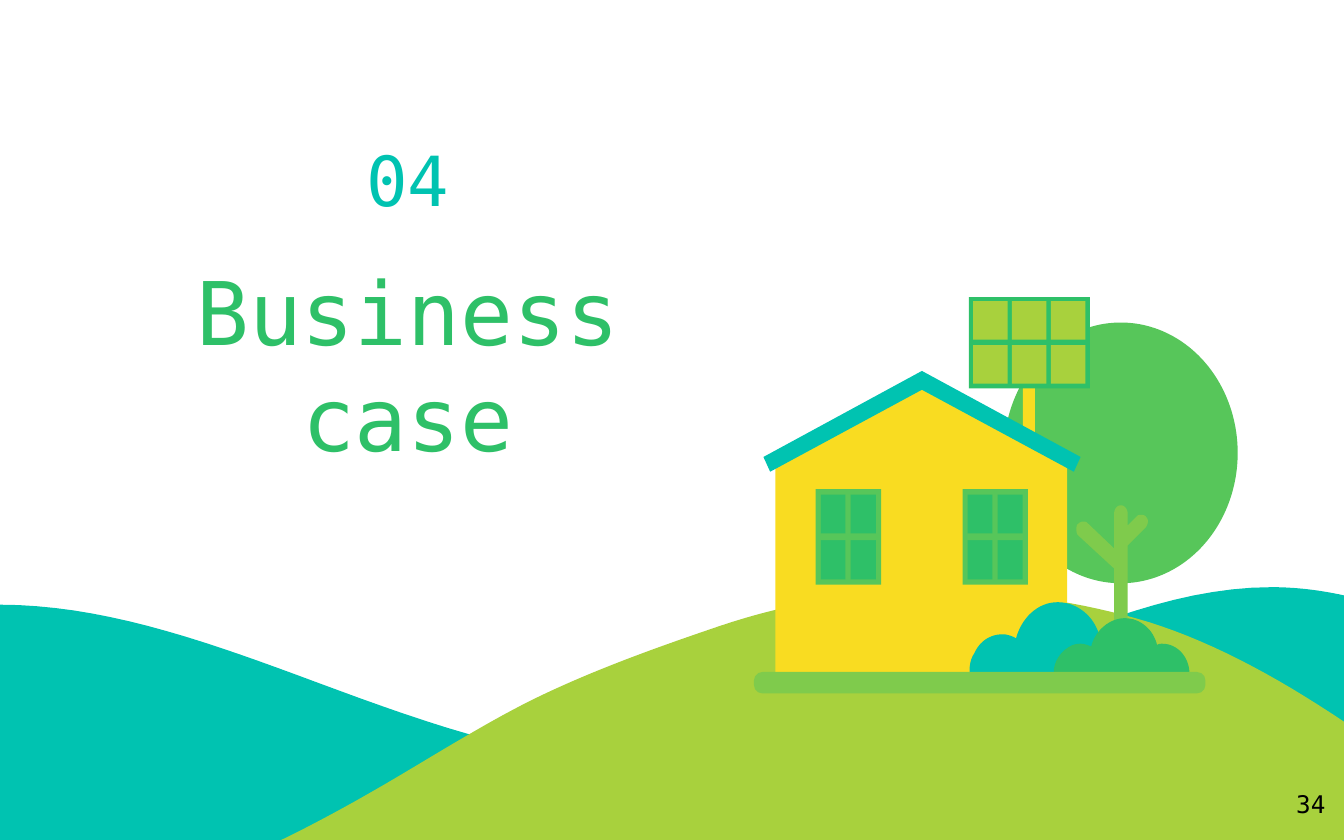
"""Build the "Business case" section slide with its house-on-a-hill scene."""
from dataclasses import dataclass
from itertools import product

from pptx import Presentation
from pptx.dml.color import RGBColor
from pptx.enum.shapes import MSO_SHAPE as Shape
from pptx.enum.text import MSO_ANCHOR as Anchor, PP_ALIGN as Align
from pptx.util import Pt

TEAL, LIME, YELLOW = "00C3B1", "A8D13D", "F9DC21"
GREEN, LEAF, GRASS = "2EC068", "57C65A", "7FCB4C"
FONT = "DejaVu Sans Mono"


@dataclass
class Box:
    x: float
    y: float
    w: float
    h: float
    color: str
    kind: Shape = Shape.RECTANGLE


@dataclass
class Outline:
    color: str
    start: tuple
    steps: list


@dataclass
class Hill:
    color: str
    bottom: float
    knots: list


@dataclass
class Label:
    x: float
    y: float
    w: float
    h: float
    lines: list
    size: float
    color: str
    align: Align = Align.CENTER
    anchor: Anchor = Anchor.TOP
    top: float = 7.2
    spacing: float = 1.0


HILLS = [
    Hill(TEAL, 495.4, [(0, 324, 0), (158.4, 361.4, .37), (344.2, 408.2, 0),
                       (514.1, 364.3, -.42), (681.1, 314.6, 0), (720, 319, .22)]),
    Hill(LIME, 497.5, [(0, 475.2, .25), (38.9, 481, 0), (123.8, 462.2, -.42),
                       (211.7, 416.9, -.59), (295.2, 370.1, -.46), (385.2, 335.5, -.34),
                       (500.4, 316.8, 0), (608.4, 331.2, .28), (720, 386.6, .67)]),
]
CROWN = Box(537.8, 172.8, 125.3, 139.7, LEAF, Shape.OVAL)
TRUNK = Outline(GRASS, (600.5, 270.7), [
    (598.3, 270.7, 596.9, 272.9, 596.9, 275), (596.9, 293.8), (582.5, 280.1),
    (581.8, 279.4, 581, 279.4, 580.3, 279.4), (578.9, 279.4, 578.2, 280.1, 577.4, 280.8),
    (576.7, 281.5, 576.7, 282.2, 576.7, 283.7), (576.7, 284.4, 576.7, 285.8, 577.4, 286.6),
    (596.9, 304.6), (596.9, 358.6), (604.1, 358.6), (604.1, 292.3), (613.4, 283),
    (614.9, 281.5, 615.6, 278.6, 614.2, 277.2), (613.4, 275.8, 612, 275.8, 611.3, 275.8),
    (610.6, 275.8, 609.8, 275.8, 609.1, 276.5), (604.1, 281.5), (604.1, 275),
    (604.1, 272.9, 602.6, 270.7, 600.5, 270.7)])
PANEL = [Box(547.9, 201.6, 6.5, 37.4, YELLOW), Box(519.1, 159.1, 64.8, 49, GREEN)] + [
    Box(521.3 + 20.8 * col, 161.3 + 23.6 * row, 18.5, 20.7, LIME)
    for row, col in product(range(2), range(3))]
WALL = Outline(YELLOW, (493.9, 203.8), [
    (415.4, 246.2), (415.4, 361.4), (571.7, 361.4), (571.7, 246.2)])
WINDOWS = [
    Box(x + dx, y, w, h, color)
    for x, (dx, y, w, h, color) in product((437, 515.7), [
        (0, 262.1, 35, 51.1, LEAF), (2.7, 265, 29.5, 45.4, GREEN),
        (0.8, 285.8, 33.1, 3.6, LEAF), (15.9, 264.2, 2.9, 47.5, LEAF)])]
BUSHES = [
    Outline(TEAL, (566.6, 322.6), [
        (555.8, 322.6, 547.2, 331.2, 544.3, 342), (542.2, 340.6, 539.3, 339.8, 537.1, 339.8),
        (530.6, 339.8, 524.9, 343.4, 522, 349.9), (519.1, 354.2, 519.1, 359.3, 519.8, 364.3),
        (609.8, 364.3), (609.8, 359.3), (609.8, 349.2, 602.6, 339.8, 592.6, 339.8),
        (591.1, 339.8, 590.4, 340.6, 589, 340.6), (586.1, 329.8, 576.7, 322.6, 566.6, 322.6)]),
    Outline(GREEN, (602.6, 331.2), [
        (594.5, 331.2, 586.8, 337.7, 584.6, 346.3), (582.5, 345.6, 581, 344.9, 578.9, 344.9),
        (576, 344.9, 573.8, 345.6, 571, 347.8), (567.4, 350.6, 564.5, 355, 564.5, 360.7),
        (565.2, 364.3), (636.5, 364.3), (637.2, 360.7),
        (637.2, 352.1, 630.7, 344.9, 622.8, 344.9), (622, 344.9, 620.6, 344.9, 619.9, 345.6),
        (617.8, 337, 610.6, 331.2, 602.6, 331.2)]),
]
ROOF = Outline(TEAL, (493.9, 198.7), [
    (409, 244.8), (412.6, 252.7), (493.9, 208.8), (575.3, 252.7), (578.9, 244.8)])
GROUND = Box(403.9, 360, 241.9, 11.5, GRASS, Shape.ROUNDED_RECTANGLE)
LABELS = [
    Label(61.2, 64.1, 314.6, 59, ["04"], 37, TEAL, top=9.8),
    Label(61.2, 123.8, 314.6, 139, ["Business", "case"], 47, GREEN,
          anchor=Anchor.MIDDLE, top=9.2, spacing=Pt(56.8)),
    Label(673.9, 415.4, 43.2, 34.6, ["34"], 13, "000000", Align.RIGHT),
]


def rgb(color: str) -> RGBColor:
    return RGBColor.from_string(color)


def paint(sp, color: str) -> None:
    sp.shadow.inherit = False
    sp.fill.solid()
    sp.fill.fore_color.rgb = rgb(color)
    sp.line.fill.background()


def draw_box(s, box: Box):
    sp = s.shapes.add_shape(box.kind, Pt(box.x), Pt(box.y), Pt(box.w), Pt(box.h))
    paint(sp, box.color)
    return sp


def bezier(p0: tuple, step: tuple, count: int = 16) -> list:
    x1, y1, x2, y2, x3, y3 = step
    points = []
    for i in range(1, count + 1):
        t = i / count
        a, b, c, d = (1 - t) ** 3, 3 * t * (1 - t) ** 2, 3 * t * t * (1 - t), t ** 3
        points.append((a * p0[0] + b * x1 + c * x2 + d * x3,
                       a * p0[1] + b * y1 + c * y2 + d * y3))
    return points


def draw_outline(s, outline: Outline) -> None:
    points = [outline.start]
    for step in outline.steps:
        points += bezier(points[-1], step) if len(step) == 6 else [step]
    (x, y), *rest = [(Pt(px), Pt(py)) for px, py in points]
    builder = s.shapes.build_freeform(x, y)
    builder.add_line_segments(rest, close=True)
    paint(builder.convert_to_shape(), outline.color)


def draw_hill(s, hill: Hill) -> None:
    steps = []
    for (x0, y0, m0), (x1, y1, m1) in zip(hill.knots, hill.knots[1:]):
        third = (x1 - x0) / 3
        steps.append((x0 + third, y0 + m0 * third, x1 - third, y1 - m1 * third, x1, y1))
    steps += [(720, hill.bottom), (0, hill.bottom)]
    draw_outline(s, Outline(hill.color, hill.knots[0][:2], steps))


def draw_label(s, label: Label) -> None:
    tf = s.shapes.add_textbox(Pt(label.x), Pt(label.y), Pt(label.w), Pt(label.h)).text_frame
    tf.word_wrap = True
    tf.vertical_anchor = label.anchor
    tf.margin_left = tf.margin_right = tf.margin_bottom = Pt(7.2)
    tf.margin_top = Pt(label.top)
    for i, line in enumerate(label.lines):
        p = tf.add_paragraph() if i else tf.paragraphs[0]
        p.alignment = label.align
        p.line_spacing = label.spacing
        r = p.add_run()
        r.text = line
        r.font.name = FONT
        r.font.size = Pt(label.size)
        r.font.color.rgb = rgb(label.color)


def main() -> None:
    prs = Presentation()
    prs.slide_width, prs.slide_height = Pt(720), Pt(450)
    s = prs.slides.add_slide(prs.slide_layouts[6])
    for hill in HILLS:
        draw_hill(s, hill)
    draw_box(s, CROWN)
    draw_outline(s, TRUNK)
    for box in PANEL:
        draw_box(s, box)
    draw_outline(s, WALL)
    for box in WINDOWS:
        draw_box(s, box)
    for outline in [*BUSHES, ROOF]:
        draw_outline(s, outline)
    draw_box(s, GROUND).adjustments[0] = 0.4
    for label in LABELS:
        draw_label(s, label)
    prs.save("out.pptx")


if __name__ == "__main__":
    main()
